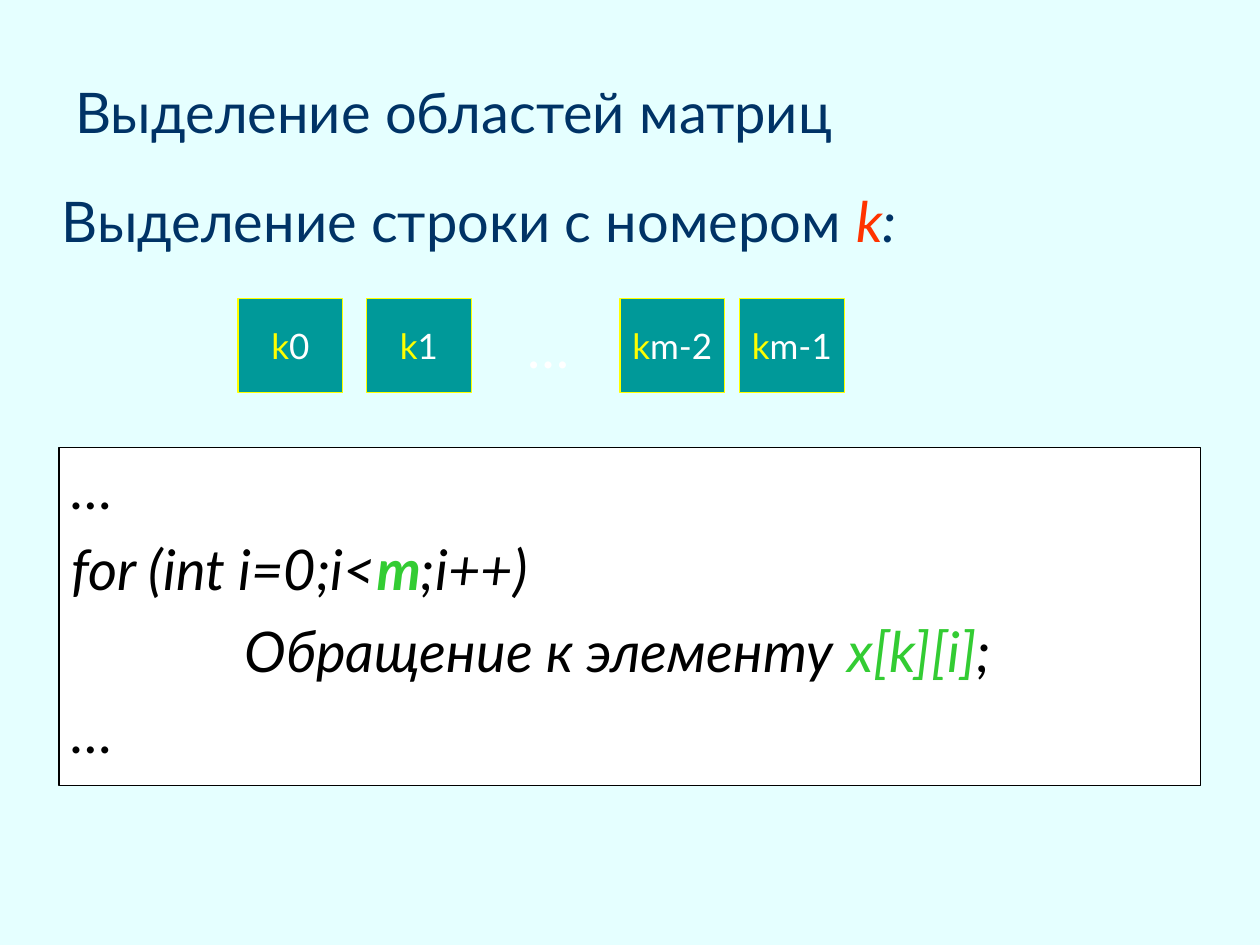
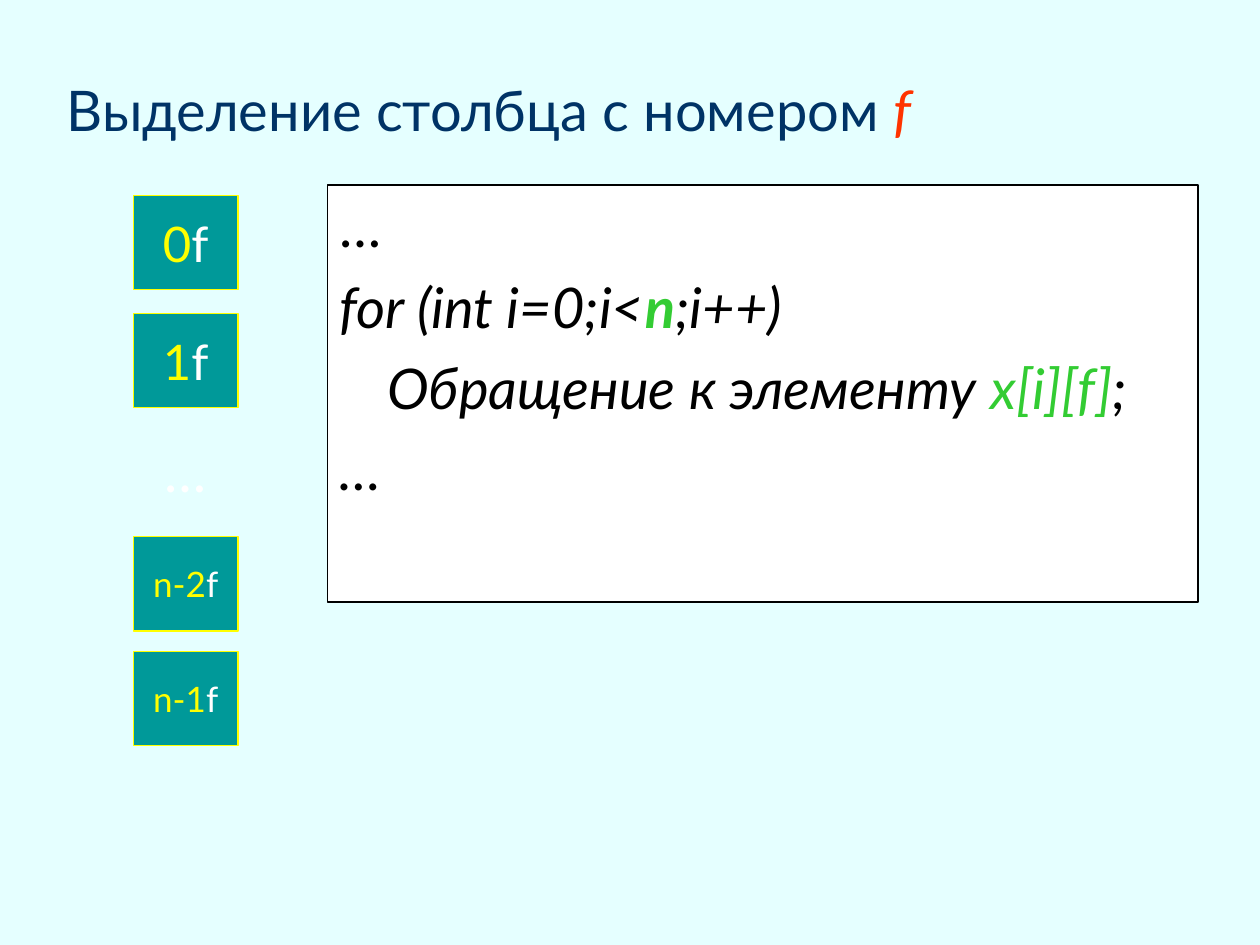
"""Builds two slides on selecting a row and a column of a matrix."""
from dataclasses import dataclass

from pptx import Presentation
from pptx.dml.color import RGBColor
from pptx.enum.shapes import MSO_SHAPE as Preset
from pptx.enum.text import MSO_ANCHOR as Anchor, PP_ALIGN as Align
from pptx.util import Cm, Pt


@dataclass(frozen=True)
class Theme:
    font: str = "Lato"
    page: str = "E5FFFF"
    heading: str = "003366"
    index: str = "FF3300"
    code: str = "000000"
    accent: str = "33CC33"
    panel: str = "FFFFFF"
    cell: str = "009999"
    edge: str = "FFFF00"
    value: str = "FFFFFF"
    large: int = 32
    medium: int = 28
    small: int = 20
    line: float = 0.75
    spacing: float = 0.25
    hanging: float = 0.95


THEME = Theme()


@dataclass(frozen=True)
class Area:
    left: float
    top: float
    width: float
    height: float


@dataclass(frozen=True)
class Span:
    text: str
    color: str
    italic: bool = False
    bold: bool = False


@dataclass(frozen=True)
class Cell:
    left: float
    top: float
    fixed: str
    rest: str
    size: int = THEME.small


CELL_WIDTH, CELL_HEIGHT = 2.11, 1.9
ROW_TOP, COLUMN_LEFT = 6.02, 2.69
ROW = [
    Cell(4.8, ROW_TOP, "k", "0"),
    Cell(7.39, ROW_TOP, "k", "1"),
    Cell(12.5, ROW_TOP, "k", "m-2"),
    Cell(14.91, ROW_TOP, "k", "m-1"),
]
COLUMN = [
    Cell(COLUMN_LEFT, 3.94, "0", "f", THEME.medium),
    Cell(COLUMN_LEFT, 6.32, "1", "f", THEME.medium),
    Cell(COLUMN_LEFT, 10.82, "n-2", "f"),
    Cell(COLUMN_LEFT, 13.13, "n-1", "f"),
]


def add_page(deck):
    page = deck.slides.add_slide(deck.slide_layouts[6])
    page.background.fill.solid()
    page.background.fill.fore_color.rgb = RGBColor.from_string(THEME.page)
    return page


def add_text_box(page, area: Area):
    return page.shapes.add_textbox(
        Cm(area.left), Cm(area.top), Cm(area.width), Cm(area.height))


def add_rectangle(page, area: Area, fill: str, line: str):
    box = page.shapes.add_shape(
        Preset.RECTANGLE, Cm(area.left), Cm(area.top), Cm(area.width), Cm(area.height))
    box.shadow.inherit = False
    box.fill.solid()
    box.fill.fore_color.rgb = RGBColor.from_string(fill)
    box.line.color.rgb = RGBColor.from_string(line)
    box.line.width = Pt(THEME.line)
    return box


def write(box, text: list[list[Span]], *, size: int = THEME.large, align=Align.LEFT,
          anchor=Anchor.TOP, wrap: bool = True, spaced: bool = True,
          indents: tuple[float, ...] = ()) -> None:
    frame = box.text_frame
    frame.word_wrap = wrap
    frame.vertical_anchor = anchor
    for number, spans in enumerate(text):
        para = frame.add_paragraph() if number else frame.paragraphs[0]
        para.alignment = align
        if spaced:
            para.space_before = Pt(size * THEME.spacing)
        if indents:
            properties = para._p.get_or_add_pPr()
            properties.set("marL", str(Cm(THEME.hanging + indents[number])))
            properties.set("indent", str(0 if indents[number] else -Cm(THEME.hanging)))
        for span in spans:
            run = para.add_run()
            run.text = span.text
            run.font.name = THEME.font
            run.font.size = Pt(size)
            run.font.italic = span.italic
            run.font.bold = span.bold
            run.font.color.rgb = RGBColor.from_string(span.color)


def add_title(page, area: Area, spans: list[Span]) -> None:
    write(add_text_box(page, area), [spans], anchor=Anchor.MIDDLE, spaced=False)


def add_code(page, area: Area, limit: str, element: str, *,
             shift: float, italic_start: bool) -> None:
    def code(text: str) -> Span:
        return Span(text, THEME.code, italic=True)

    text = [
        [Span("…", THEME.code, italic=italic_start)],
        [code("for (int i=0;i<"), Span(limit, THEME.accent, True, True), code(";i++)")],
        [code("Обращение к элементу "), Span(element, THEME.accent, True), code(";")],
        [code("…")],
    ]
    panel = add_rectangle(page, area, THEME.panel, THEME.code)
    write(panel, text, indents=(0, 0, shift, 0))


def add_cells(page, cells: list[Cell], gap_left: float, gap_top: float) -> None:
    centred = dict(align=Align.CENTER, anchor=Anchor.MIDDLE, wrap=False)
    for cell in cells:
        area = Area(cell.left, cell.top, CELL_WIDTH, CELL_HEIGHT)
        box = add_rectangle(page, area, THEME.cell, THEME.edge)
        spans = [Span(cell.fixed, THEME.edge), Span(cell.rest, THEME.value)]
        write(box, [spans], size=cell.size, **centred)
    gap = add_text_box(page, Area(gap_left, gap_top, CELL_WIDTH, CELL_HEIGHT))
    write(gap, [[Span("…", THEME.value)]], **centred)


def add_row_page(deck) -> None:
    page = add_page(deck)
    add_title(page, Area(1.27, 1.07, 22.86, 2.36),
              [Span("Выделение областей матриц", THEME.heading)])
    subtitle = [
        Span("Выделение строки с номером ", THEME.heading),
        Span("k", THEME.index, italic=True),
        Span(":", THEME.heading, italic=True),
    ]
    write(add_text_box(page, Area(0.99, 3.63, 22.86, 2.11)), [subtitle], indents=(0,))
    add_code(page, Area(1.19, 9.02, 23.01, 6.81), "m", "x[k][i]",
             shift=2.54, italic_start=True)
    add_cells(page, ROW, 10.01, ROW_TOP)


def add_column_page(deck) -> None:
    page = add_page(deck)
    add_title(page, Area(1.09, 1.12, 22.86, 2.16), [
        Span("Выделение столбца с номером ", THEME.heading),
        Span("f", THEME.index, italic=True),
    ])
    add_code(page, Area(6.6, 3.73, 17.55, 8.41), "n", "x[i][f]",
             shift=0.01, italic_start=False)
    add_cells(page, COLUMN, COLUMN_LEFT, 8.53)


def main() -> None:
    deck = Presentation()
    deck.slide_width, deck.slide_height = Cm(25.4), Cm(19.05)
    add_row_page(deck)
    add_column_page(deck)
    deck.save("out.pptx")


if __name__ == "__main__":
    main()
